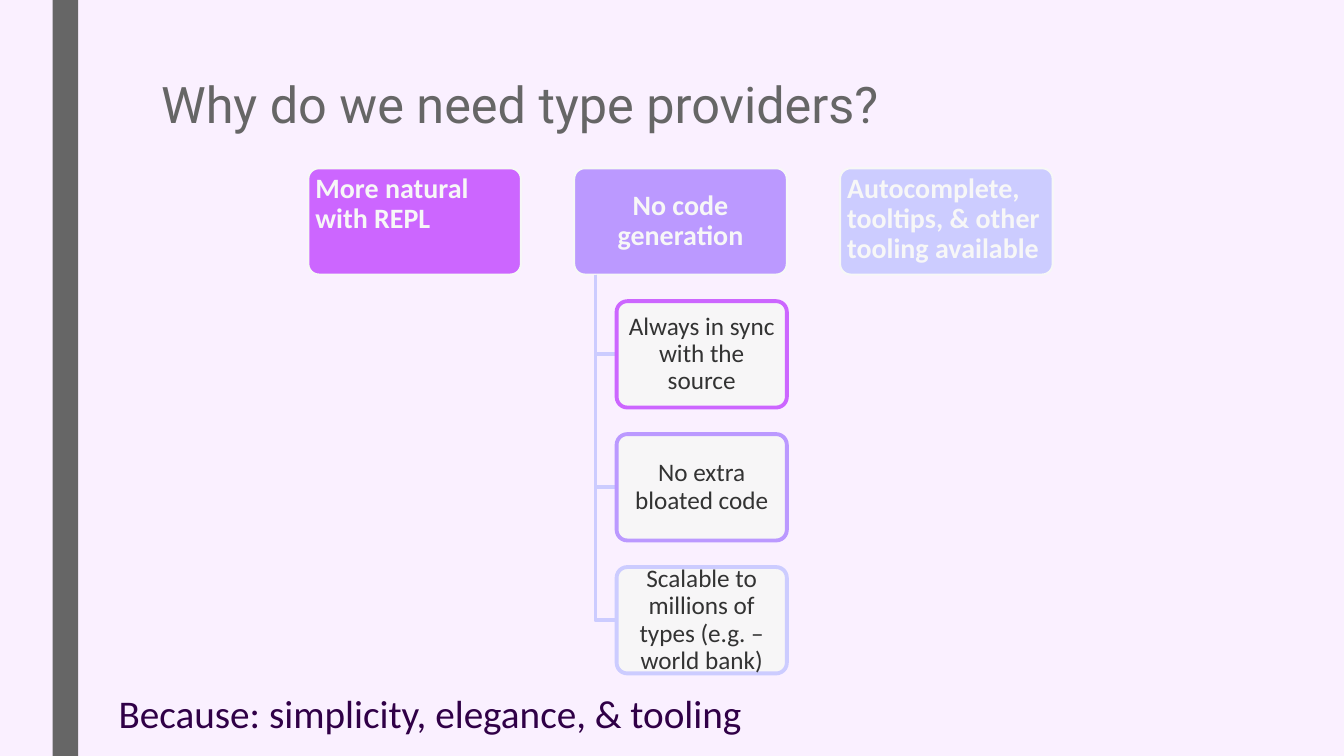
from pptx import Presentation
from pptx.dml.color import RGBColor
from pptx.enum import shapes, text
from pptx.oxml.ns import qn
from pptx.util import Cm, Pt
from lxml import etree

PALETTE = ("CC66FF", "BB99FF", "CCCCFF")
PALE = "F7F7F7"
HEADINGS = (
    ("More natural with REPL", False),
    ("No code generation", True),
    ("Autocomplete, tooltips, & other tooling available", False),
)
REASONS = (
    "Always in sync with the source",
    "No extra bloated code",
    "Scalable to millions of types (e.g. – world bank)",
)
CARD_HEIGHT = 2.68
HEADING_TOP, HEADING_WIDTH = 4.24, 5.36
REASON_LEFT, REASON_WIDTH = 15.54, 4.29
BRANCH_LEFT = 15.01
ROW_STEP = 3.35


def paint(color_format, value):
    """Set a fill or font colour from a hex string."""
    color_format.rgb = RGBColor.from_string(value)


def fill_shape(shape, value):
    """Give a shape a solid fill."""
    shape.fill.solid()
    paint(shape.fill.fore_color, value)


def outline(shape, value, width):
    """Give a shape a solid outline."""
    paint(shape.line.color, value)
    shape.line.width = Pt(width)


def write(box, words, name, size, color, bold=False, centred=False, spacing=None):
    """Write one styled paragraph into a box."""
    frame = box.text_frame
    frame.word_wrap = True
    frame.vertical_anchor = text.MSO_ANCHOR.MIDDLE if centred else text.MSO_ANCHOR.TOP
    para = frame.paragraphs[0]
    para.text = words
    para.alignment = text.PP_ALIGN.CENTER if centred else text.PP_ALIGN.LEFT
    para.line_spacing = spacing
    para.font.name = name
    para.font.size = Pt(size)
    para.font.bold = bold
    paint(para.font.color, color)


def add_card(page, left, top, width, fill, line, line_width):
    """Add a rounded card with narrow text margins."""
    card = page.shapes.add_shape(
        shapes.MSO_SHAPE.ROUNDED_RECTANGLE, Cm(left), Cm(top), Cm(width), Cm(CARD_HEIGHT)
    )
    card.adjustments[0] = 0.1
    card.shadow.inherit = False
    fill_shape(card, fill)
    outline(card, line, line_width)
    frame = card.text_frame
    frame.margin_left = frame.margin_right = Cm(0.1)
    frame.margin_top = frame.margin_bottom = Cm(0.07)
    return card


def add_heading(page, left, words, color, centred):
    """Add a filled heading card."""
    card = add_card(page, left, HEADING_TOP, HEADING_WIDTH, color, PALE, 1.5)
    write(card, words, "Calibri", 20, PALE, bold=True, centred=centred, spacing=0.9)


def add_branch(page, middle):
    """Add an elbow line from the heading to a reason card."""
    start = HEADING_TOP + CARD_HEIGHT
    builder = page.shapes.build_freeform(Cm(BRANCH_LEFT), Cm(start))
    corners = [(Cm(BRANCH_LEFT), Cm(middle)), (Cm(REASON_LEFT), Cm(middle))]
    builder.add_line_segments(corners, close=False)
    branch = builder.convert_to_shape()
    branch.shadow.inherit = False
    branch.fill.background()
    outline(branch, PALETTE[2], 2.75)


def add_reason(page, top, words, color):
    """Add a slightly transparent reason card with its branch."""
    add_branch(page, top + CARD_HEIGHT / 2)
    card = add_card(page, REASON_LEFT, top, REASON_WIDTH, PALE, color, 2.75)
    solid = card.fill._xPr.find(qn("a:solidFill"))
    etree.SubElement(solid[0], qn("a:alpha"), val="90000")
    write(card, words, "Calibri", 18, "333333", centred=True, spacing=0.9)


def add_text(page, left, top, width, height, words, name, size, color, spacing=None):
    """Add a plain text box."""
    box = page.shapes.add_textbox(Cm(left), Cm(top), Cm(width), Cm(height))
    write(box, words, name, size, color, spacing=spacing)


def main():
    """Build and save the slide."""
    deck = Presentation()
    deck.slide_width, deck.slide_height = Cm(33.87), Cm(19.05)
    page = deck.slides.add_slide(deck.slide_layouts[6])
    fill_shape(page.background, "FAF0FF")

    bar = page.shapes.add_shape(
        shapes.MSO_SHAPE.RECTANGLE, Cm(1.33), 0, Cm(0.64), deck.slide_height
    )
    bar.shadow.inherit = False
    fill_shape(bar, "666666")
    bar.line.fill.background()

    for column, ((words, centred), color) in enumerate(zip(HEADINGS, PALETTE)):
        add_heading(page, 7.77 + 6.7 * column, words, color, centred)
    for row, (words, color) in enumerate(zip(REASONS, PALETTE), start=1):
        add_reason(page, HEADING_TOP + ROW_STEP * row, words, color)

    add_text(page, 3.81, 1.9, 26.67, 4.11, "Why do we need type providers?",
             "Roboto", 36, "666666", spacing=0.89)
    add_text(page, 2.74, 17.25, 22.5, 1.45, "Because: simplicity, elegance, & tooling",
             "Calibri", 28, "300047")
    deck.save("out.pptx")


if __name__ == "__main__":
    main()
